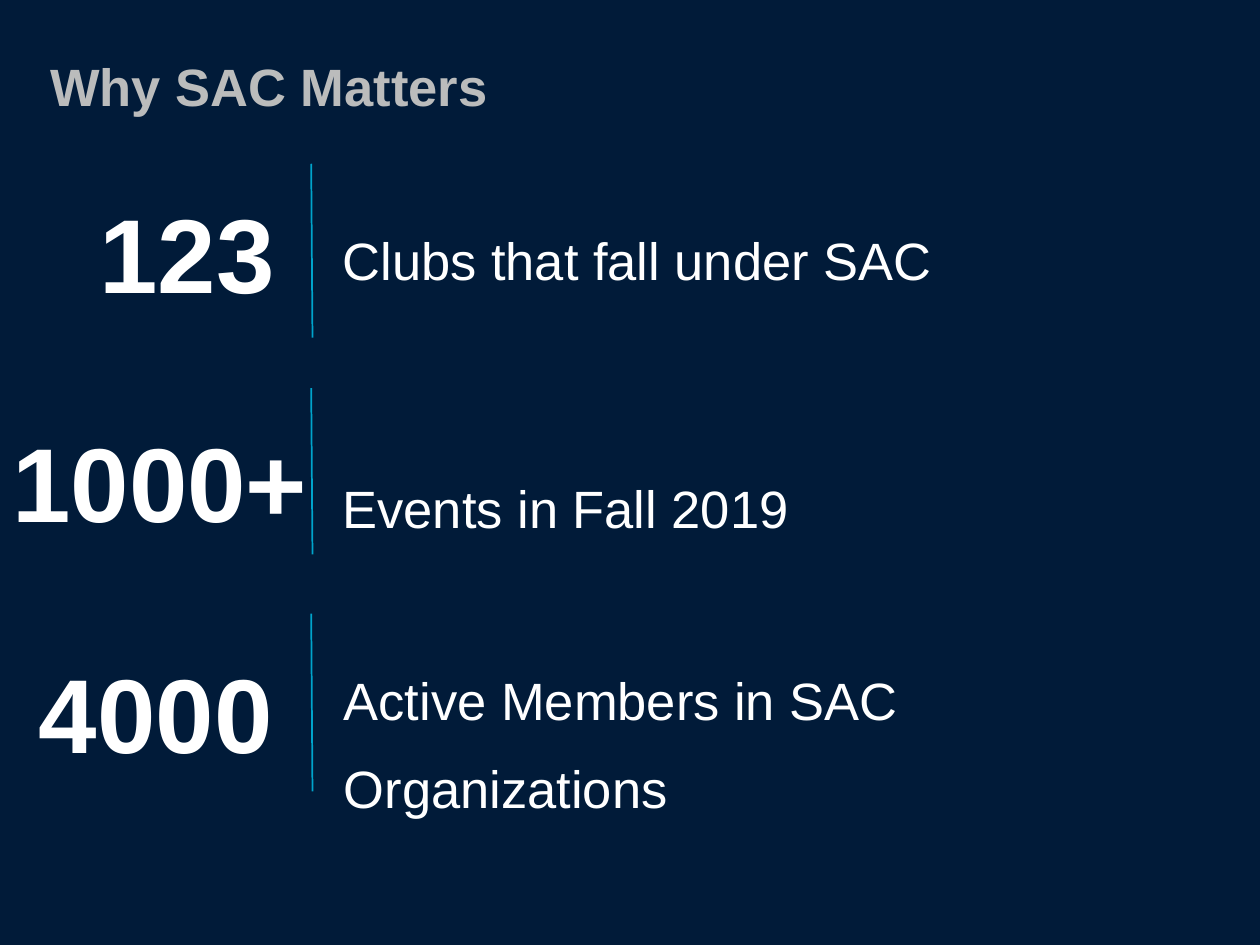
from pptx import Presentation, util as u
from pptx.dml.color import RGBColor
from pptx.enum import shapes, text
from pptx.oxml.ns import qn
from lxml import etree

THEME = {
    "font": "Arial",
    "navy": RGBColor.from_string("011B39"),
    "grey": RGBColor.from_string("BBBCBC"),
    "white": RGBColor.from_string("FFFFFF"),
    "cyan": RGBColor.from_string("00A4CC"),
    "body": u.Pt(30),
    "figure": u.Pt(60),
    "rule": u.Pt(1),
}
COLUMNS, ROWS = 100, 75

deck = Presentation()
deck.slide_width, deck.slide_height = u.Inches(10), u.Inches(7.5)
column, row = deck.slide_width / COLUMNS, deck.slide_height / ROWS


def cells(left, top, width, height):
    return [int(n * size) for n, size in zip((left, top, width, height), (column, row) * 2)]


def write(holder, words, size, color, bold=False, inset=(0.1, 0.05), align=text.PP_ALIGN.LEFT,
          anchor=text.MSO_ANCHOR.TOP, spacing=1.0):
    frame = holder.text_frame
    frame.word_wrap = True
    frame.auto_size = text.MSO_AUTO_SIZE.NONE
    frame.vertical_anchor = anchor
    frame.margin_left = frame.margin_right = u.Inches(inset[0])
    frame.margin_top = frame.margin_bottom = u.Inches(inset[1])
    line = frame.paragraphs[0]
    line.alignment, line.line_spacing = align, spacing
    line.space_before = u.Pt(0)
    run = line.add_run()
    run.text = words
    run.font.name, run.font.size, run.font.bold = THEME["font"], size, bold
    run.font.color.rgb = color


slide = deck.slides.add_slide(deck.slide_layouts[5])

backdrop = slide.shapes.add_shape(shapes.MSO_SHAPE.RECTANGLE, *cells(0, 0, COLUMNS, ROWS))
backdrop.shadow.inherit = False
backdrop.fill.solid()
backdrop.fill.fore_color.rgb = THEME["navy"]
backdrop.line.fill.background()

heading = slide.shapes.title
heading.left, heading.top, heading.width, heading.height = cells(3, 3.8, 94.6, 8.7)
write(heading, "Why SAC Matters", THEME["body"], THEME["grey"], bold=True)
backdrop.element.addnext(heading.element)

right_middle = {"inset": (0.07, 0.04), "align": text.PP_ALIGN.RIGHT, "anchor": text.MSO_ANCHOR.MIDDLE}
roomy = {"inset": (0.1, 0.1)}
facts = [
    ("123", (3.3, 15.6, 19.2, 8.7), right_middle,
     "Clubs that fall under SAC", (26.2, 15.6, 59.7, 18), (13, 26.8)),
    ("1000+", (0, 32.1, 31.8, 10.5), roomy,
     "Events in Fall 2019", (26.2, 35.3, 59.7, 18), (30.8, 44)),
    ("4000", (2.1, 50.5, 21.8, 10.5), roomy,
     "Active Members in SAC Organizations", (26.3, 50.5, 72.1, 18), (48.7, 62.8)),
]

for figure, figure_area, figure_style, meaning, meaning_area, (rule_top, rule_bottom) in facts:
    divider = slide.shapes.add_connector(
        shapes.MSO_CONNECTOR.STRAIGHT,
        int(24.8 * column), int(rule_bottom * row), int(24.7 * column), int(rule_top * row))
    divider.line.color.rgb, divider.line.width = THEME["cyan"], THEME["rule"]
    etree.SubElement(divider.element.spPr, qn("a:effectLst"))
    write(slide.shapes.add_textbox(*cells(*figure_area)), figure,
          THEME["figure"], THEME["white"], bold=True, **figure_style)
    write(slide.shapes.add_textbox(*cells(*meaning_area)), meaning,
          THEME["body"], THEME["white"], spacing=1.4)

deck.save("out.pptx")
